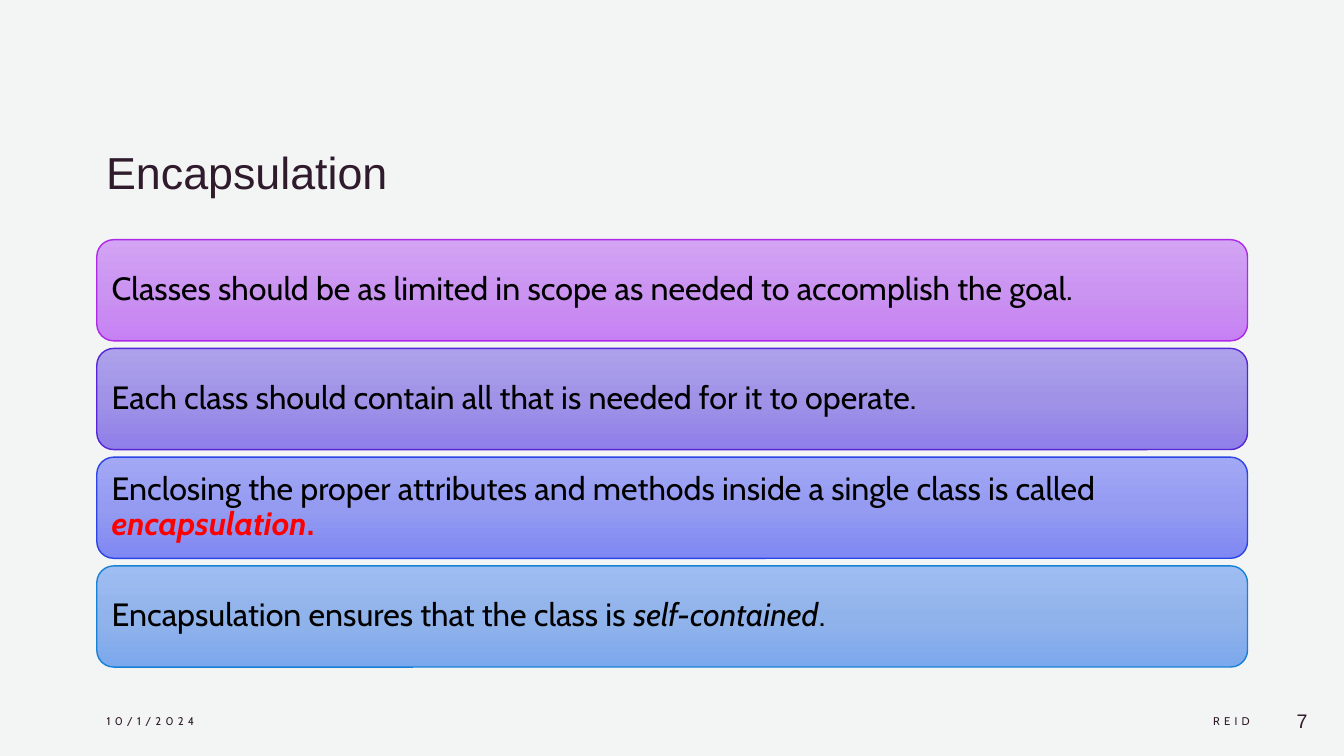
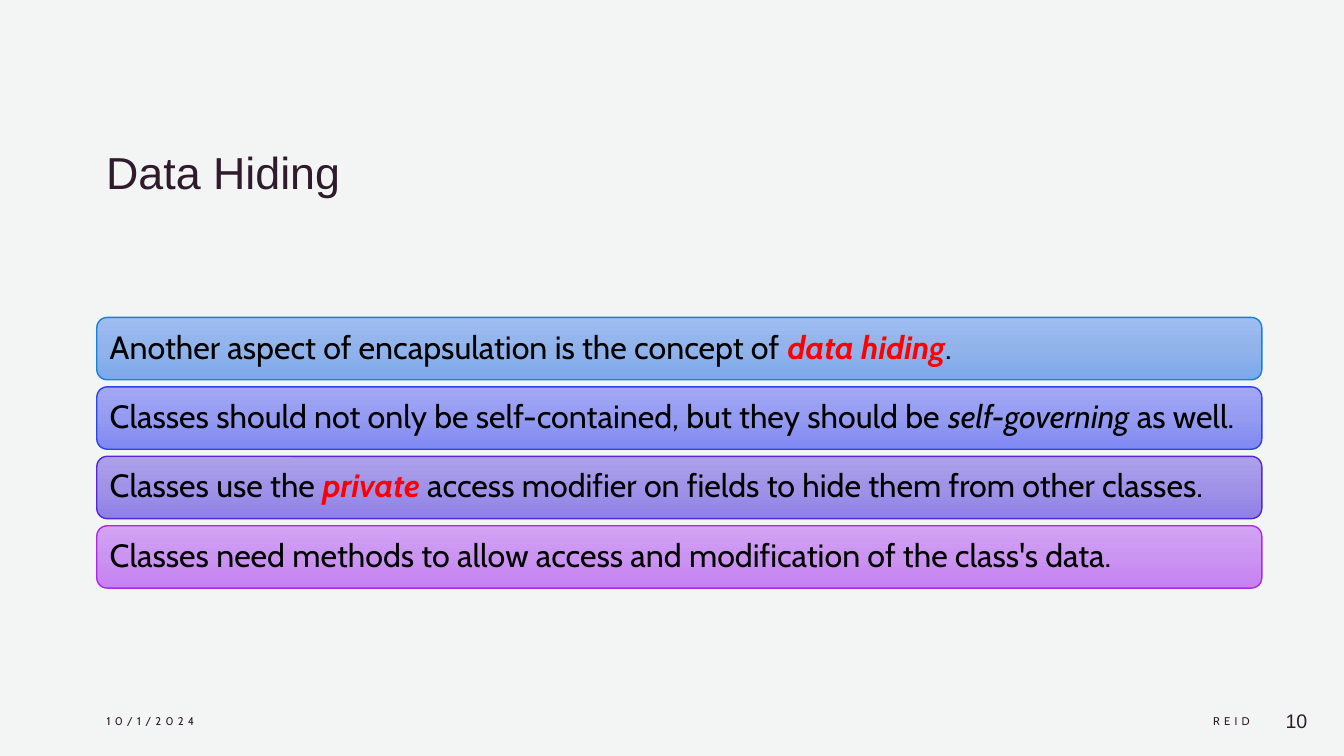
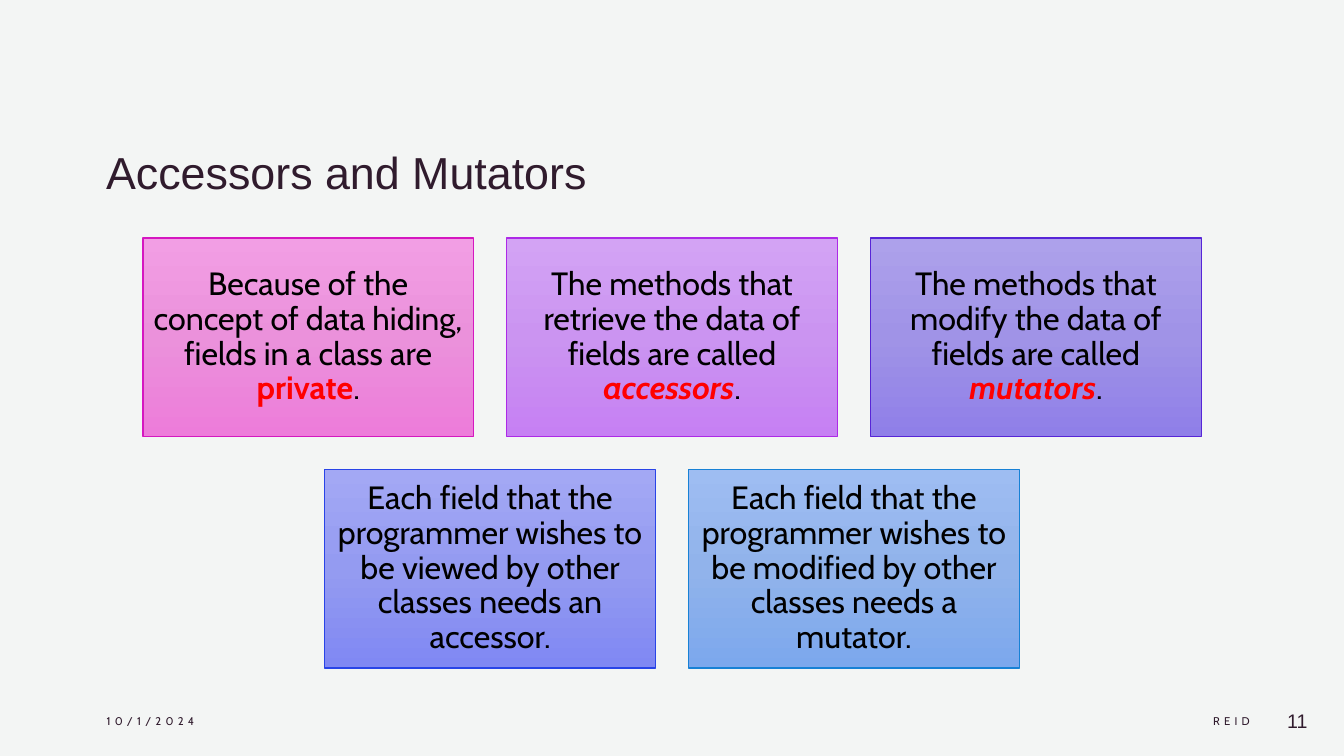
import copy
from dataclasses import dataclass

import pptx
import pptx.dml.color
import pptx.enum.shapes
import pptx.enum.text
import pptx.oxml.ns
import pptx.presentation
import pptx.shapes.autoshape
import pptx.slide
import pptx.text.text
import pptx.util

Cm = pptx.util.Cm
Pt = pptx.util.Pt
ALIGN = pptx.enum.text.PP_ALIGN
ANCHOR = pptx.enum.text.MSO_ANCHOR
SHAPE = pptx.enum.shapes.MSO_SHAPE

BACKGROUND = "F3F5F4"
INK = "301B2D"
BLACK = "000000"
RED = "FF0000"
HEAD_FONT = "Arial"
BODY_FONT = "Cabin"


@dataclass(frozen=True)
class Run:
    text: str
    color: str = BLACK
    bold: bool = False
    italic: bool = False
    font: str = BODY_FONT
    size: float = 23
    spacing: float = 0


@dataclass(frozen=True)
class Theme:
    stops: tuple[str, str, str]
    line: str


@dataclass(frozen=True)
class Card:
    theme: Theme
    runs: list[Run]


@dataclass(frozen=True)
class Grid:
    shape: SHAPE
    align: ALIGN
    center: float
    top: float
    width: float
    height: float
    gap: float


@dataclass(frozen=True)
class Footer:
    left: float
    width: float
    align: ALIGN
    run: Run


@dataclass(frozen=True)
class Page:
    title: str
    number: int
    grid: Grid
    rows: list[list[Card]]


PINK = Theme(("F29EE4", "EB91DB", "ED7CDA"), "D517C0")
PURPLE = Theme(("D3A3F4", "CB94F1", "C680F3"), "AD29E7")
VIOLET = Theme(("ADA1EB", "A093E7", "8F7FE8"), "5725D7")
INDIGO = Theme(("A3A8F4", "949BF1", "8088F3"), "2944E7")
BLUE = Theme(("9EBDF2", "91B3EB", "7CA8ED"), "1781D5")


def key(text: str, italic: bool = True) -> Run:
    return Run(text, RED, bold=True, italic=italic)


PAGES = [
    Page(
        "Encapsulation", 7,
        Grid(SHAPE.ROUNDED_RECTANGLE, ALIGN.LEFT, 16.94, 6.04, 29, 2.55, 0.19),
        [
            [Card(PURPLE, [Run("Classes should be as limited in scope as needed to accomplish the goal.")])],
            [Card(VIOLET, [Run("Each class should contain all that is needed for it to operate.")])],
            [Card(INDIGO, [
                Run("Enclosing the proper attributes and methods inside a single class is called "),
                key("encapsulation"), key(".", italic=False)])],
            [Card(BLUE, [
                Run("Encapsulation ensures that the class is "),
                Run("self-contained", italic=True), Run(".")])],
        ],
    ),
    Page(
        "Data Hiding", 10,
        Grid(SHAPE.ROUNDED_RECTANGLE, ALIGN.LEFT, 17.12, 8, 29.36, 1.57, 0.18),
        [
            [Card(BLUE, [
                Run("Another aspect of encapsulation is the concept of "),
                key("data hiding"), Run(".")])],
            [Card(INDIGO, [
                Run("Classes should not only be self-contained, but they should be "),
                Run("self-governing", italic=True), Run(" as well.")])],
            [Card(VIOLET, [
                Run("Classes use the "), key("private"),
                Run(" access modifier on fields to hide them from other classes.")])],
            [Card(PURPLE, [Run("Classes need methods to allow access and modification of the class's data.")])],
        ],
    ),
    Page(
        "Accessors and Mutators", 11,
        Grid(SHAPE.RECTANGLE, ALIGN.CENTER, 16.94, 6, 8.34, 5, 0.83),
        [
            [
                Card(PINK, [
                    Run("Because of the concept of data hiding, fields in a class are "),
                    key("private", italic=False), Run(".")]),
                Card(PURPLE, [
                    Run("The methods that retrieve the data of fields are called "),
                    key("accessors"), Run(".")]),
                Card(VIOLET, [
                    Run("The methods that modify the data of fields are called "),
                    key("mutators"), Run(".")]),
            ],
            [
                Card(INDIGO, [Run(
                    "Each field that the programmer wishes to be viewed by other classes needs an accessor.")]),
                Card(BLUE, [Run(
                    "Each field that the programmer wishes to be modified by other classes needs a mutator.")]),
            ],
        ],
    ),
]


def rgb(color: str) -> pptx.dml.color.RGBColor:
    return pptx.dml.color.RGBColor.from_string(color)


def write(tf: pptx.text.text.TextFrame, runs: list[Run], align: ALIGN,
          anchor: ANCHOR = ANCHOR.MIDDLE, line_spacing: float = 1.0) -> None:
    tf.word_wrap = True
    tf.auto_size = pptx.enum.text.MSO_AUTO_SIZE.NONE
    tf.vertical_anchor = anchor
    p = tf.paragraphs[0]
    p.alignment = align
    p.line_spacing = line_spacing
    for run in runs:
        r = p.add_run()
        r.text = run.text
        r.font.name = run.font
        r.font.size = Pt(run.size)
        r.font.bold = run.bold
        r.font.italic = run.italic
        r.font.color.rgb = rgb(run.color)
        if run.spacing:
            r.font._element.set("spc", str(int(run.spacing * 100)))


def paint(sp: pptx.shapes.autoshape.Shape, theme: Theme) -> None:
    sp.shadow.inherit = False
    sp.fill.gradient()
    sp.fill.gradient_angle = 270
    stops = sp.element.spPr.find(".//" + pptx.oxml.ns.qn("a:gsLst"))
    stops.append(copy.deepcopy(stops[0]))
    for i, (stop, color) in enumerate(zip(sp.fill.gradient_stops, theme.stops)):
        stop.position = i / 2
        stop.color.rgb = rgb(color)
    sp.line.color.rgb = rgb(theme.line)
    sp.line.width = Pt(1)


def add_title(s: pptx.slide.Slide, text: str) -> None:
    sp = s.shapes.title
    sp.left, sp.top, sp.width, sp.height = Cm(2.42), Cm(1.63), Cm(29.03), Cm(3.5)
    write(sp.text_frame, [Run(text, INK, font=HEAD_FONT, size=32)], ALIGN.LEFT, ANCHOR.BOTTOM)


def add_cards(s: pptx.slide.Slide, grid: Grid, rows: list[list[Card]]) -> None:
    for i, row in enumerate(rows):
        left = grid.center - (len(row) * (grid.width + grid.gap) - grid.gap) / 2
        top = grid.top + i * (grid.height + grid.gap)
        for j, card in enumerate(row):
            sp = s.shapes.add_shape(
                grid.shape, Cm(left + j * (grid.width + grid.gap)), Cm(top),
                Cm(grid.width), Cm(grid.height))
            paint(sp, card.theme)
            tf = sp.text_frame
            tf.margin_left = tf.margin_right = tf.margin_top = tf.margin_bottom = Cm(0.25)
            write(tf, card.runs, grid.align, line_spacing=0.9)


def add_footers(s: pptx.slide.Slide, number: int) -> None:
    footers = [
        Footer(2.44, 7.62, ALIGN.LEFT, Run("10/1/2024", INK, size=8, spacing=3)),
        Footer(19.81, 11.94, ALIGN.RIGHT, Run("REID", INK, size=8, spacing=3)),
        Footer(31.75, 1.45, ALIGN.RIGHT, Run(str(number), INK, font=HEAD_FONT, size=14)),
    ]
    for footer in footers:
        sp = s.shapes.add_textbox(Cm(footer.left), Cm(17.65), Cm(footer.width), Cm(1.02))
        write(sp.text_frame, [footer.run], footer.align)


def add_page(prs: pptx.presentation.Presentation, page: Page) -> None:
    s = prs.slides.add_slide(prs.slide_layouts.get_by_name("Title Only"))
    add_title(s, page.title)
    add_cards(s, page.grid, page.rows)
    add_footers(s, page.number)


def main() -> None:
    prs = pptx.Presentation()
    prs.slide_width, prs.slide_height = Cm(33.87), Cm(19.05)
    fill = prs.slide_master.background.fill
    fill.solid()
    fill.fore_color.rgb = rgb(BACKGROUND)
    for page in PAGES:
        add_page(prs, page)
    prs.save("out.pptx")


if __name__ == "__main__":
    main()
